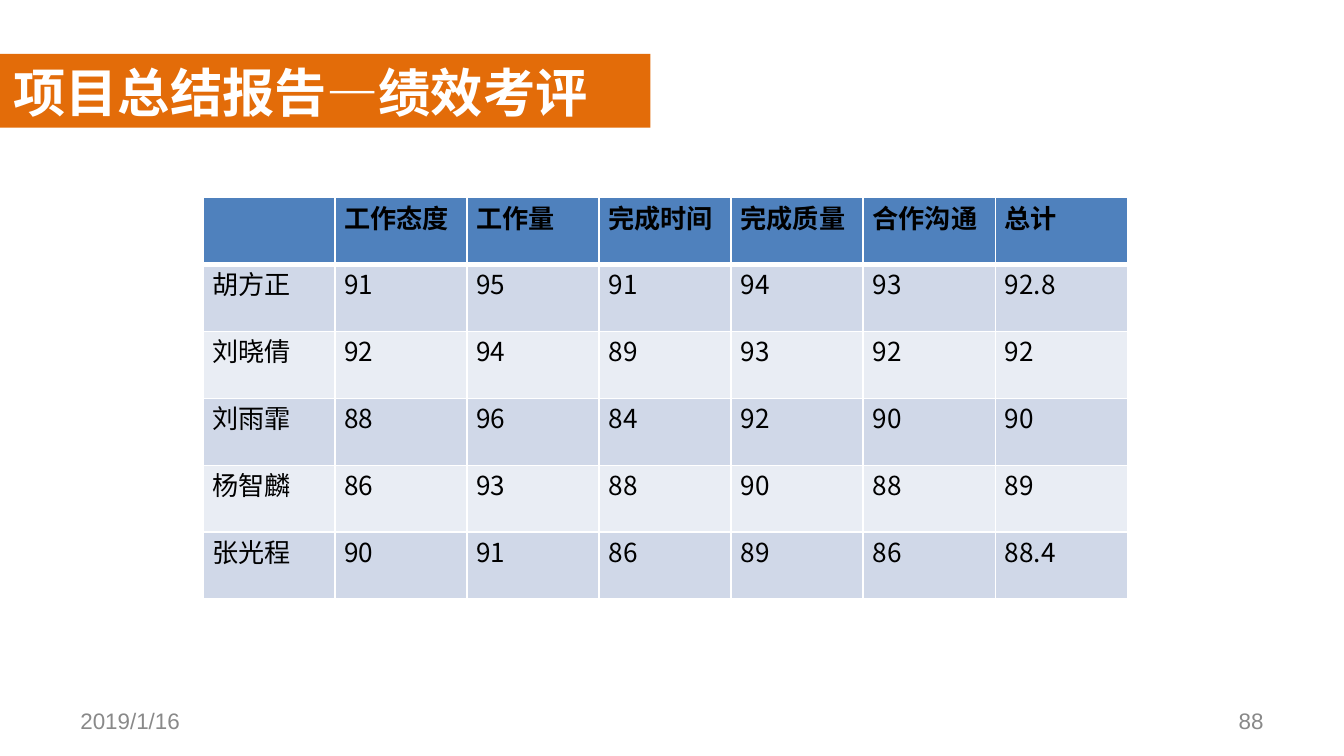
from lxml import etree
from pptx import Presentation
from pptx.dml.color import RGBColor
from pptx.enum.shapes import MSO_SHAPE
from pptx.enum.text import MSO_ANCHOR, PP_ALIGN
from pptx.oxml.ns import qn
from pptx.util import Inches, Pt

RECTANGLE = MSO_SHAPE.RECTANGLE
TOP, MIDDLE = MSO_ANCHOR.TOP, MSO_ANCHOR.MIDDLE
LEFT, RIGHT, JUSTIFY = PP_ALIGN.LEFT, PP_ALIGN.RIGHT, PP_ALIGN.JUSTIFY

SCORES = [
    ["", "工作态度", "工作量", "完成时间", "完成质量", "合作沟通", "总计"],
    ["胡方正", "91", "95", "91", "94", "93", "92.8"],
    ["刘晓倩", "92", "94", "89", "93", "92", "92"],
    ["刘雨霏", "88", "96", "84", "92", "90", "90"],
    ["杨智麟", "86", "93", "88", "90", "88", "89"],
    ["张光程", "90", "91", "86", "89", "86", "88.4"],
]


def color(value):
    return RGBColor.from_string(value)


class ReportSlide:
    ORANGE = "E36C09"
    WHITE = "FFFFFF"
    BLACK = "000000"
    GRAY = "898989"
    HEADER_FILL = "4F81BD"
    BAND_FILLS = ("D0D8E8", "E9EDF4")
    CJK_FONT = "Noto Sans CJK SC"

    def __init__(self, presentation):
        self.slide = presentation.slides.add_slide(presentation.slide_layouts[5])

    def format_text(self, paragraph, size, font_name, fill, bold=False, align=LEFT):
        paragraph.alignment = align
        for run in paragraph.runs:
            font = run.font
            font.size = Pt(size)
            font.name = font_name
            font.bold = bold
            font.color.rgb = color(fill)
            east_asian = etree.SubElement(font._element, qn("a:ea"))
            east_asian.set("typeface", self.CJK_FONT)

    def title(self, text, left, top, width, height, bar_height):
        bar = self.slide.shapes.add_shape(
            RECTANGLE, Inches(left), Inches(top), Inches(width), Inches(bar_height))
        bar.shadow.inherit = False
        bar.fill.solid()
        bar.fill.fore_color.rgb = color(self.ORANGE)
        bar.line.fill.background()
        title = self.slide.shapes.title
        title.element.addprevious(bar.element)
        title.left, title.top = Inches(left), Inches(top)
        title.width, title.height = Inches(width), Inches(height)
        title.text_frame.text = text
        title.text_frame.vertical_anchor = TOP
        self.format_text(title.text_frame.paragraphs[0], 28, "Calibri", self.WHITE, True)

    def footer(self, text, left, align):
        box = self.slide.shapes.add_textbox(
            Inches(left), Inches(5.21), Inches(2.33), Inches(0.3))
        frame = box.text_frame
        frame.word_wrap = True
        frame.vertical_anchor = MIDDLE
        frame.text = text
        self.format_text(frame.paragraphs[0], 12, "Arial", self.GRAY, align=align)

    def borders(self, cell, bottom_width):
        properties = cell._tc.get_or_add_tcPr()
        widths = {"a:lnL": 1, "a:lnR": 1, "a:lnT": 1, "a:lnB": bottom_width}
        for position, (tag, width) in enumerate(widths.items()):
            line = etree.Element(qn(tag), w=str(Pt(width)))
            fill = etree.SubElement(line, qn("a:solidFill"))
            etree.SubElement(fill, qn("a:srgbClr"), val=self.WHITE)
            properties.insert(position, line)

    def table(self, rows, left, top, width, height):
        table = self.slide.shapes.add_table(
            len(rows), len(rows[0]), Inches(left), Inches(top),
            Inches(width), Inches(height)).table
        for row_index, values in enumerate(rows):
            header = row_index == 0
            fill = self.HEADER_FILL if header else self.BAND_FILLS[(row_index - 1) % 2]
            for column_index, value in enumerate(values):
                cell = table.cell(row_index, column_index)
                cell.fill.solid()
                cell.fill.fore_color.rgb = color(fill)
                self.borders(cell, 3 if header else 1)
                cell.margin_left = cell.margin_right = Inches(0.07)
                cell.margin_top = cell.margin_bottom = 0
                cell.text_frame.text = value
                is_label = header or column_index == 0
                font_name = "Times New Roman" if is_label else self.CJK_FONT
                self.format_text(cell.text_frame.paragraphs[0], 14, font_name,
                                 self.BLACK, header, JUSTIFY)


def main():
    presentation = Presentation()
    presentation.slide_width = Inches(10)
    presentation.slide_height = presentation.slide_width * 9 // 16
    report = ReportSlide(presentation)
    report.title("项目总结报告—绩效考评", 0, 0.4, 4.84, 0.57, 0.55)
    report.footer("2019/1/16", 0.5, LEFT)
    report.footer("88", 7.17, RIGHT)
    report.table(SCORES, 1.51, 1.47, 6.88, 2.99)
    presentation.save("out.pptx")


if __name__ == "__main__":
    main()
